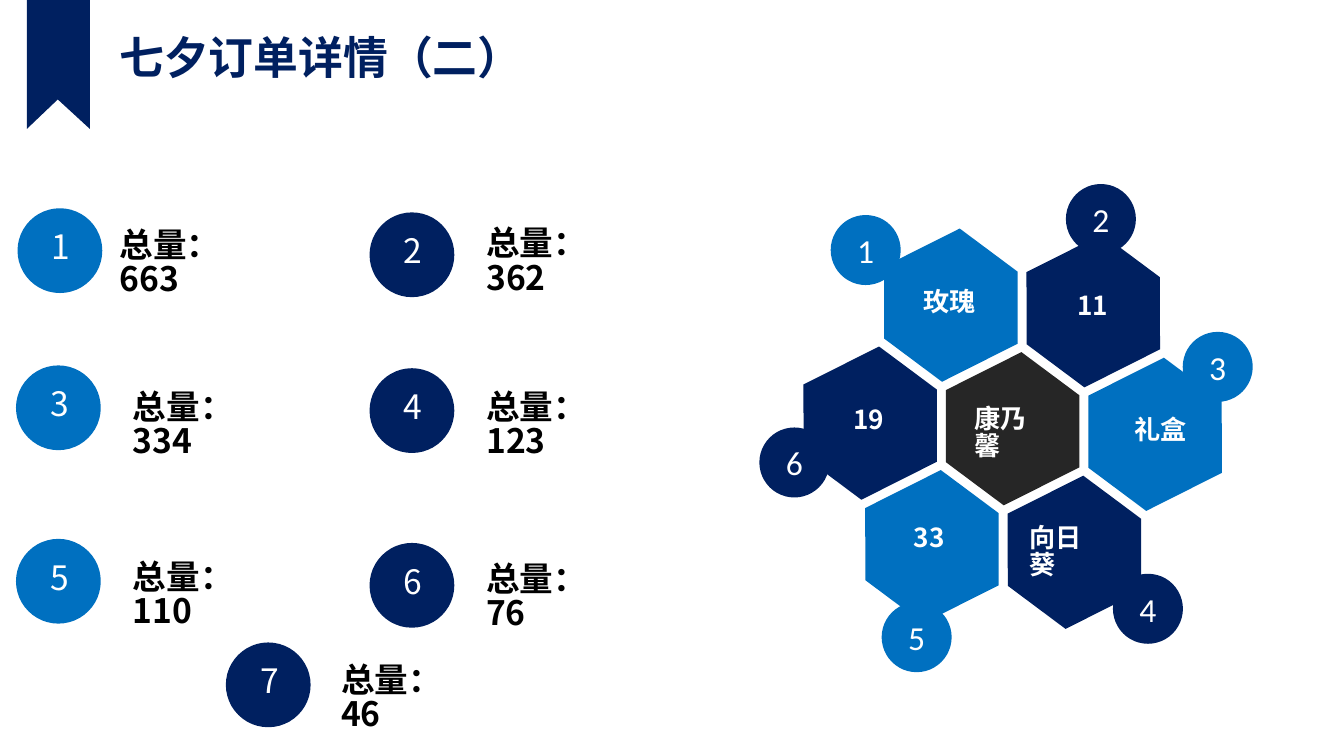
from dataclasses import dataclass

from lxml.etree import SubElement
from pptx import Presentation
from pptx.dml.color import RGBColor
from pptx.enum.shapes import MSO_SHAPE
from pptx.enum.text import MSO_ANCHOR, PP_ALIGN
from pptx.oxml.ns import qn
from pptx.util import Pt


@dataclass(frozen=True)
class Theme:
    navy: RGBColor = RGBColor(0x00, 0x20, 0x60)
    blue: RGBColor = RGBColor(0x00, 0x70, 0xC0)
    dark: RGBColor = RGBColor(0x26, 0x26, 0x26)
    black: RGBColor = RGBColor(0x00, 0x00, 0x00)
    white: RGBColor = RGBColor(0xFF, 0xFF, 0xFF)
    title_size: int = 24
    body_size: int = 18
    label_size: int = 14
    main_font: str = "Noto Sans CJK SC"
    badge_font: str = "Calibri"
    line_spacing: float = 0.85


THEME = Theme()
DISC_SIZE = 45.4
BADGE_SIZE = 37.5
HEXAGON_SIZE = (79.9, 69.1)
HEXAGON_CENTER = (542.5, 229.7)
STEP_RIGHT = (76.3, 3)
STEP_UP = (43.2, -63.2)

FLAG = [(14.4, 0), (48.2, 0), (48.2, 69.1), (31, 53.3), (14.4, 69.1)]
HEXAGONS = [
    (0, 0, THEME.dark),
    (0, 1, THEME.navy),
    (1, 0, THEME.blue),
    (1, -1, THEME.navy),
    (0, -1, THEME.blue),
    (-1, 0, THEME.navy),
    (-1, 1, THEME.blue),
]
HEXAGON_LABELS = [
    ("玫瑰", 487.4, 151.9, 42.5),
    ("11", 570.2, 154.1, 31.7),
    ("礼盒", 600.5, 220.3, 42.5),
    ("向日葵", 544.3, 278.6, 56.2),
    ("33", 482.4, 278.6, 31.7),
    ("19", 450, 215.3, 31.7),
    ("康乃馨", 514.8, 214.6, 56.2),
]
BADGES = [
    ("1", 445, 115.2, THEME.blue),
    ("2", 571, 98.6, THEME.navy),
    ("3", 633.6, 177.8, THEME.blue),
    ("4", 596.2, 307.4, THEME.navy),
    ("5", 472.3, 322.6, THEME.blue),
    ("6", 406.8, 229, THEME.navy),
]
TOTALS = [
    ("1", "663", (9.4, 111.6), (56.9, 119.5), THEME.blue),
    ("2", "362", (198, 113.8), (253.4, 118.8), THEME.navy),
    ("3", "334", (8.6, 195.8), (64.1, 206.6), THEME.blue),
    ("4", "123", (198, 197.3), (253.4, 206.6), THEME.navy),
    ("5", "110", (8.6, 288.7), (64.1, 297.4), THEME.blue),
    ("6", "76", (198, 290.9), (253.4, 298.8), THEME.navy),
    ("7", "46", (121, 344.2), (175.7, 352.8), THEME.navy),
]


def paint(shape, color):
    shape.shadow.inherit = False
    shape.fill.solid()
    shape.fill.fore_color.rgb = color
    shape.line.fill.background()


def add_span(para, text, size, color, bold=False, font=THEME.main_font):
    span = para.add_run()
    span.text = text
    span.font.size = Pt(size)
    span.font.bold = bold
    span.font.color.rgb = color
    span.font.name = font
    SubElement(span.font._element, qn("a:ea")).set("typeface", font)


def add_text(page, text, left, top, width, height, size, color, bold=True):
    box = page.shapes.add_textbox(Pt(left), Pt(top), Pt(width), Pt(height))
    box.text_frame.word_wrap = False
    para = box.text_frame.paragraphs[0]
    para.line_spacing = THEME.line_spacing
    add_span(para, text, size, color, bold)
    return box


def add_disc(page, left, top, size, color):
    disc = page.shapes.add_shape(MSO_SHAPE.OVAL, Pt(left), Pt(top), Pt(size), Pt(size))
    paint(disc, color)
    return disc


def add_badge(page, number, left, top, color):
    frame = add_disc(page, left, top, BADGE_SIZE, color).text_frame
    frame.vertical_anchor = MSO_ANCHOR.MIDDLE
    para = frame.paragraphs[0]
    para.alignment = PP_ALIGN.CENTER
    add_span(para, number, THEME.body_size, THEME.white, font=THEME.badge_font)


def add_hexagon(page, right_steps, up_steps, color):
    width, height = HEXAGON_SIZE
    center_x, center_y = (
        start + right_steps * right + up_steps * up
        for start, right, up in zip(HEXAGON_CENTER, STEP_RIGHT, STEP_UP)
    )
    hexagon = page.shapes.add_shape(
        MSO_SHAPE.HEXAGON,
        Pt(center_x - width / 2), Pt(center_y - height / 2), Pt(width), Pt(height),
    )
    hexagon.rotation = 333.3
    paint(hexagon, color)


def add_flag(page):
    start, *others = [(Pt(x), Pt(y)) for x, y in FLAG]
    builder = page.shapes.build_freeform(*start)
    builder.add_line_segments(others, close=True)
    paint(builder.convert_to_shape(), THEME.navy)


def add_total(page, number, amount, disc_place, text_place, color):
    left, top = disc_place
    add_disc(page, left, top, DISC_SIZE, color)
    add_text(page, number, left + 11.2, top + 9.4, 25.2, 28.8,
             THEME.body_size, THEME.white, bold=False)
    box = add_text(page, f"总量：{amount}", *text_place, 69 + 10.8 * len(amount), 28.8,
                   THEME.body_size, THEME.black)
    box.text_frame.word_wrap = True
    box.text_frame.margin_right = Pt(25)


def main():
    deck = Presentation()
    deck.slide_width, deck.slide_height = Pt(720), Pt(405)
    page = deck.slides.add_slide(deck.slide_layouts[6])
    for hexagon in HEXAGONS:
        add_hexagon(page, *hexagon)
    for badge in BADGES:
        add_badge(page, *badge)
    add_flag(page)
    add_text(page, "七夕订单详情（二）", 56.9, 16.6, 230.4, 36, THEME.title_size, THEME.navy)
    for total in TOTALS:
        add_total(page, *total)
    for text, left, top, width in HEXAGON_LABELS:
        add_text(page, text, left, top, width, 24.5, THEME.label_size, THEME.white)
    deck.save("out.pptx")


if __name__ == "__main__":
    main()
